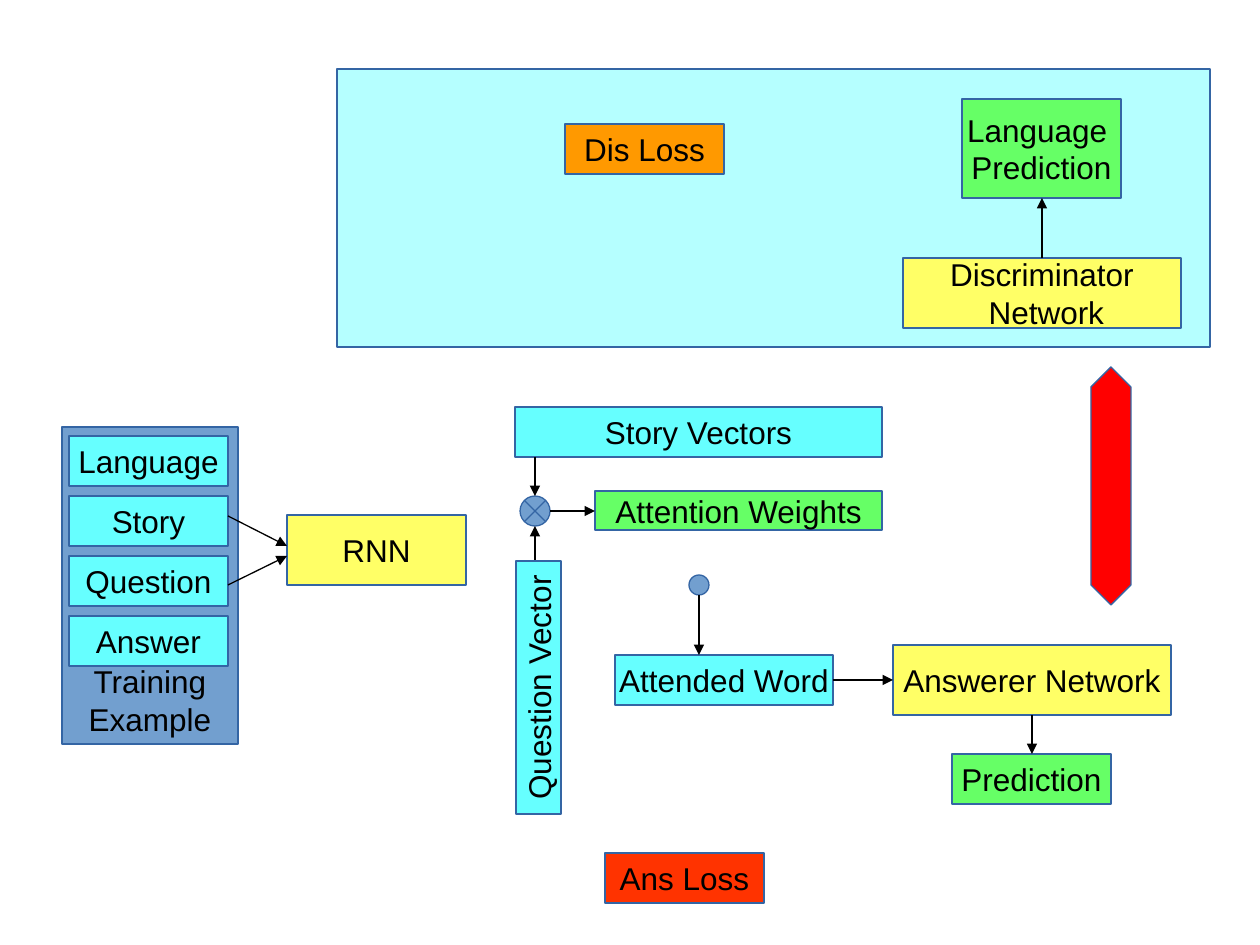
"""Build a slide of a question-answering network with a language discriminator."""
from dataclasses import dataclass
from typing import Optional

from lxml import etree
from pptx import Presentation
from pptx.dml.color import RGBColor
from pptx.enum.shapes import MSO_CONNECTOR, MSO_SHAPE
from pptx.enum.text import MSO_ANCHOR, PP_ALIGN
from pptx.oxml.ns import qn
from pptx.util import Emu, Inches, Pt

EMU_PER_PX = 914400 / 126
BLACK = RGBColor(0x00, 0x00, 0x00)
OUTLINE = RGBColor(0x34, 0x65, 0xA4)
BLUE = RGBColor(0x72, 0x9F, 0xCF)
AQUA = RGBColor(0x00, 0xFF, 0xFF)
CYAN = RGBColor(0x66, 0xFF, 0xFF)
YELLOW = RGBColor(0xFF, 0xFF, 0x66)
GREEN = RGBColor(0x66, 0xFF, 0x66)
ORANGE = RGBColor(0xFF, 0x99, 0x00)
VERMILION = RGBColor(0xFF, 0x33, 0x00)
RED = RGBColor(0xFF, 0x00, 0x00)


@dataclass(frozen=True)
class Block:
    left: int
    top: int
    width: int
    height: int
    fill: RGBColor
    text: str = ""
    shape: MSO_SHAPE = MSO_SHAPE.RECTANGLE
    anchor: MSO_ANCHOR = MSO_ANCHOR.MIDDLE
    rotation: int = 0
    opacity: Optional[int] = None
    adjustments: tuple[float, ...] = ()


@dataclass(frozen=True)
class Arrow:
    x1: int
    y1: int
    x2: int
    y2: int


def px(value: int) -> Emu:
    return Emu(round(value * EMU_PER_PX))


def write_label(shape, block: Block) -> None:
    frame = shape.text_frame
    frame.word_wrap = False
    frame.vertical_anchor = block.anchor
    frame.text = block.text
    for paragraph in frame.paragraphs:
        paragraph.alignment = PP_ALIGN.CENTER
        font = paragraph.runs[0].font
        font.name = "Arial"
        font.size = Pt(18)
        font.color.rgb = BLACK


def draw_block(slide, block: Block) -> None:
    shape = slide.shapes.add_shape(
        block.shape, px(block.left), px(block.top), px(block.width), px(block.height))
    shape.shadow.inherit = False
    shape.rotation = block.rotation
    shape.fill.solid()
    shape.fill.fore_color.rgb = block.fill
    shape.line.color.rgb = OUTLINE
    shape.line.width = Pt(0.75)
    for index, value in enumerate(block.adjustments):
        shape.adjustments[index] = value
    if block.opacity is not None:
        color = shape.fill._xPr.find(qn("a:solidFill"))[0]
        etree.SubElement(color, qn("a:alpha"), val=str(block.opacity * 1000))
    if block.text:
        write_label(shape, block)


def draw_arrow(slide, arrow: Arrow) -> None:
    line = slide.shapes.add_connector(
        MSO_CONNECTOR.STRAIGHT, px(arrow.x1), px(arrow.y1), px(arrow.x2), px(arrow.y2))
    line.line.color.rgb = BLACK
    line.line.width = Pt(0.75)
    etree.SubElement(line.line._get_or_add_ln(), qn("a:tailEnd"), type="triangle")
    etree.SubElement(line._element.spPr, qn("a:effectLst"))


SMALL = (159, 50)
NETWORK = (278, 70)
INPUTS = ("Language", "Story", "Question", "Answer")
INPUT_TOP, INPUT_PITCH = 436, 60

BLOCKS = [
    Block(337, 69, 873, 278, AQUA, opacity=29),
    Block(62, 427, 176, 317, BLUE, "Training\nExample", anchor=MSO_ANCHOR.BOTTOM),
    *(Block(69, INPUT_TOP + row * INPUT_PITCH, *SMALL, CYAN, name)
      for row, name in enumerate(INPUTS)),
    Block(287, 515, 179, 70, YELLOW, "RNN"),
    Block(515, 407, 367, 50, CYAN, "Story Vectors"),
    Block(412, 665, 253, 45, CYAN, "Question Vector", rotation=270),
    Block(520, 496, 30, 30, BLUE, shape=MSO_SHAPE.FLOWCHART_SUMMING_JUNCTION),
    Block(595, 491, 287, 39, GREEN, "Attention Weights"),
    Block(689, 575, 20, 20, BLUE, shape=MSO_SHAPE.FLOWCHART_CONNECTOR),
    Block(615, 655, 218, 50, CYAN, "Attended Word"),
    Block(893, 645, *NETWORK, YELLOW, "Answerer Network"),
    Block(952, 754, *SMALL, GREEN, "Prediction"),
    Block(605, 853, *SMALL, VERMILION, "Ans Loss"),
    Block(903, 258, *NETWORK, YELLOW, "Discriminator\n Network"),
    Block(962, 99, 159, 99, GREEN, "Language \nPrediction"),
    Block(565, 124, *SMALL, ORANGE, "Dis Loss"),
    Block(1091, 367, 40, 238, RED, shape=MSO_SHAPE.UP_DOWN_ARROW,
          adjustments=(0.5, 1.2)),
]

ARROWS = [
    Arrow(228, 516, 287, 546),
    Arrow(228, 585, 287, 556),
    Arrow(535, 560, 535, 526),
    Arrow(535, 457, 535, 496),
    Arrow(550, 511, 595, 511),
    Arrow(699, 595, 699, 655),
    Arrow(833, 680, 893, 680),
    Arrow(1032, 715, 1032, 754),
    Arrow(1042, 258, 1042, 198),
]


def main() -> None:
    presentation = Presentation()
    presentation.slide_width = Inches(10)
    presentation.slide_height = Inches(7.5)
    slide = presentation.slides.add_slide(presentation.slide_layouts[6])
    for block in BLOCKS:
        draw_block(slide, block)
    for arrow in ARROWS:
        draw_arrow(slide, arrow)
    presentation.save("out.pptx")


main()
